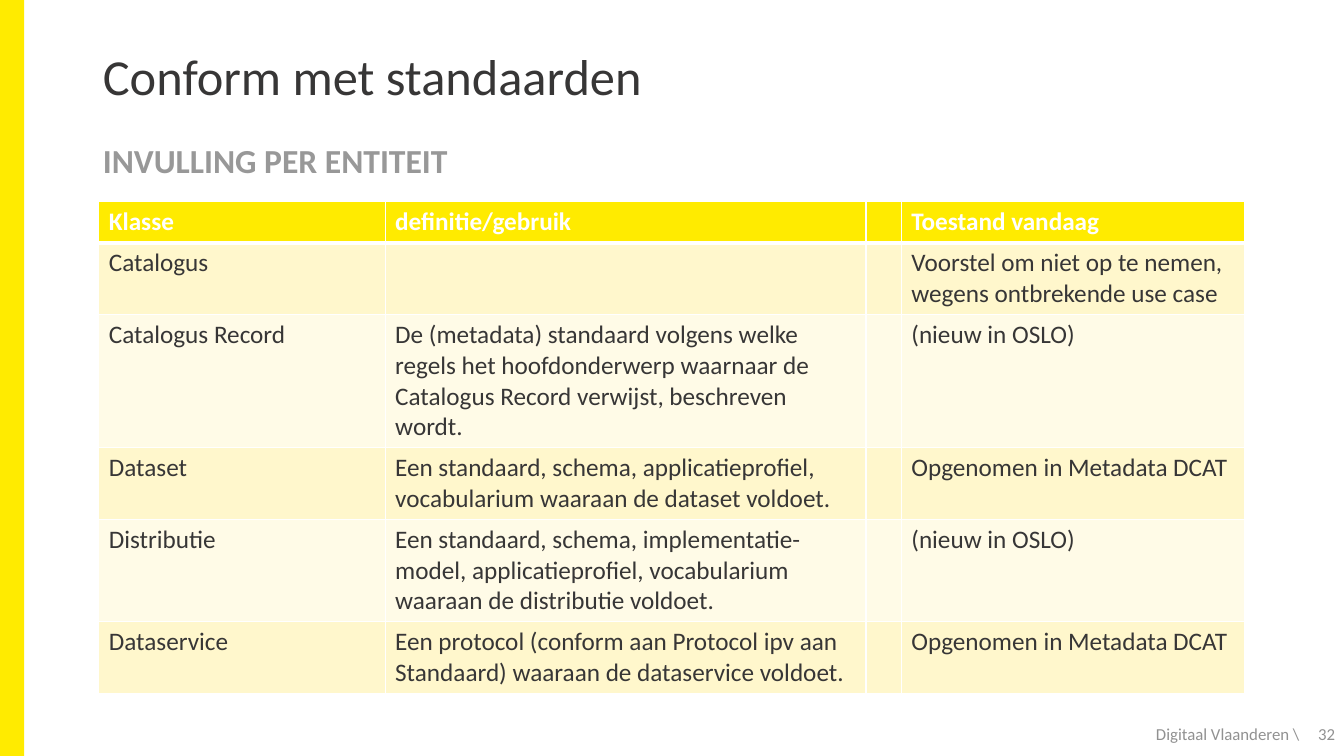
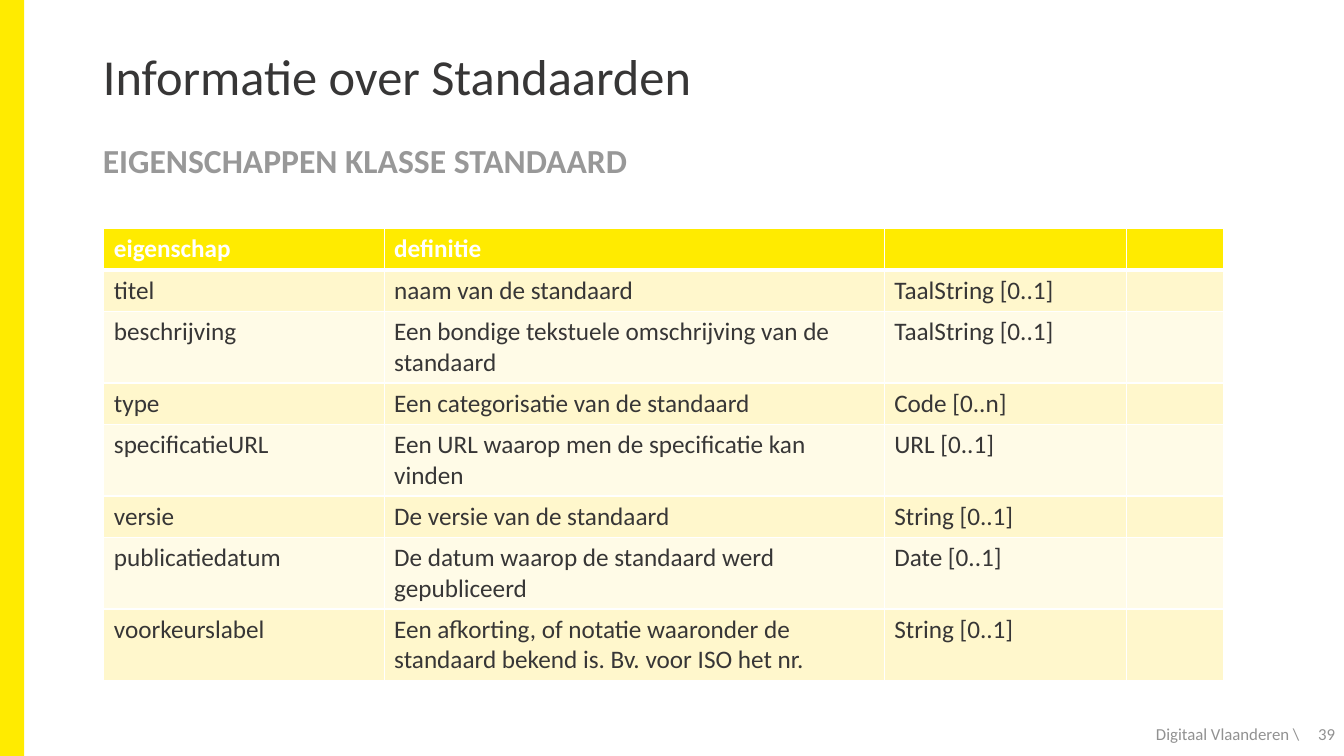
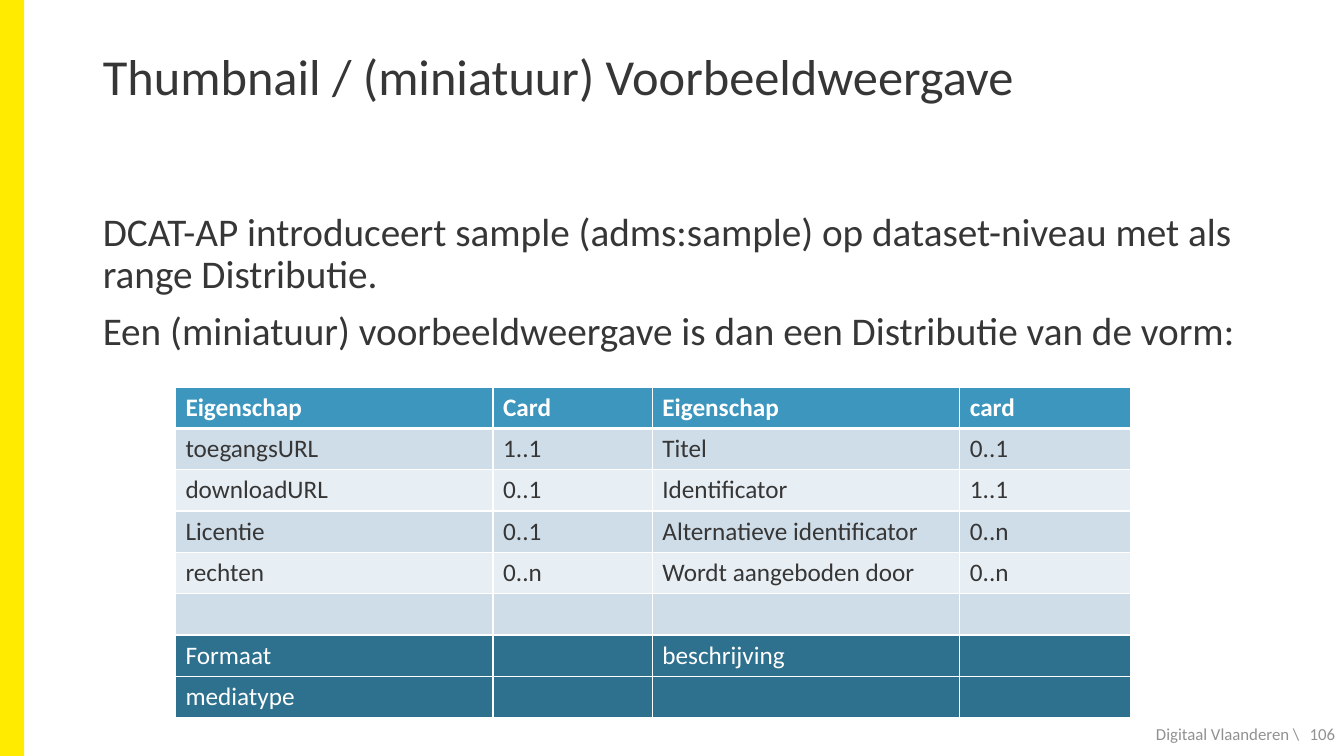
from lxml.etree import SubElement
from pptx import Presentation
from pptx.dml.color import RGBColor
from pptx.enum.shapes import MSO_SHAPE
from pptx.enum.text import MSO_ANCHOR, MSO_AUTO_SIZE, PP_ALIGN
from pptx.oxml.ns import qn
from pptx.util import Inches, Pt

# Colours
WHITE = RGBColor(0xFF, 0xFF, 0xFF)
INK = RGBColor(0x37, 0x36, 0x36)
SUBTITLE_GREY = RGBColor(0x98, 0x98, 0x98)
FOOTER_GREY = RGBColor(0x91, 0x91, 0x91)
YELLOW = RGBColor(0xFF, 0xEB, 0x00)
YELLOW_BANDS = (RGBColor(0xFF, 0xF7, 0xCC), RGBColor(0xFF, 0xFB, 0xE7))
BLUE = RGBColor(0x3C, 0x96, 0xBE)
BLUE_BANDS = (RGBColor(0xCE, 0xDD, 0xE8), RGBColor(0xE8, 0xEF, 0xF4))
DARK_BLUE = RGBColor(0x2D, 0x71, 0x8E)

# Text styles: font attributes, colour and paragraph attributes
TITLE = ({"size": Pt(36)}, INK, {"line_spacing": 0.9, "alignment": PP_ALIGN.LEFT})
SUBTITLE = ({"size": Pt(24), "bold": True}, SUBTITLE_GREY, {"line_spacing": 0.9})
BODY = ({"size": Pt(28)}, INK, {"line_spacing": 0.9})
FOOTER = ({"size": Pt(12)}, FOOTER_GREY, {"alignment": PP_ALIGN.RIGHT})
HEADER_CELL = ({"size": Pt(18), "bold": True}, WHITE, {})
CELL = ({"size": Pt(18), "bold": False}, INK, {})
DARK_CELL = ({"size": Pt(18), "bold": False}, WHITE, {})

ROW_HEIGHT = 0.41

PAGES = [
    {
        "title": "Conform met standaarden",
        "number": "32",
        "body": ["INVULLING PER ENTITEIT"],
        "body_style": SUBTITLE,
        "body_place": (0.92, 1.36, 11.5, 0.51),
        "body_anchor": MSO_ANCHOR.MIDDLE,
        "table_place": (0.98, 2),
        "columns": (2.84, 4.77, 0.35, 3.4),
        "header_fill": YELLOW,
        "bands": YELLOW_BANDS,
        "dark_from": None,
        "rows": [
            ("Klasse", "definitie/gebruik", "", "Toestand vandaag"),
            ("Catalogus", "", "",
             "Voorstel om niet op te nemen, wegens ontbrekende use case"),
            ("Catalogus Record",
             "De (metadata) standaard volgens welke regels het hoofdonderwerp "
             "waarnaar de Catalogus Record verwijst, beschreven wordt.",
             "", "(nieuw in OSLO)"),
            ("Dataset",
             "Een standaard, schema, applicatieprofiel, vocabularium waaraan "
             "de dataset voldoet.",
             "", "Opgenomen in Metadata DCAT"),
            ("Distributie",
             "Een standaard, schema, implementatie-model, applicatieprofiel, "
             "vocabularium waaraan de distributie voldoet.",
             "", "(nieuw in OSLO)"),
            ("Dataservice",
             "Een protocol (conform aan Protocol ipv aan Standaard) waaraan "
             "de dataservice voldoet.",
             "", "Opgenomen in Metadata DCAT"),
        ],
    },
    {
        "title": "Informatie over Standaarden",
        "number": "39",
        "body": ["EIGENSCHAPPEN KLASSE STANDAARD"],
        "body_style": SUBTITLE,
        "body_place": (0.92, 1.36, 11.5, 0.51),
        "body_anchor": MSO_ANCHOR.MIDDLE,
        "table_place": (1.03, 2.27),
        "columns": (2.78, 4.96, 2.4, 0.97),
        "header_fill": YELLOW,
        "bands": YELLOW_BANDS,
        "dark_from": None,
        "rows": [
            ("eigenschap", "definitie", "", ""),
            ("titel", "naam van de standaard", "TaalString [0..1]", ""),
            ("beschrijving", "Een bondige tekstuele omschrijving van de standaard",
             "TaalString [0..1]", ""),
            ("type", "Een categorisatie van de standaard", "Code [0..n]", ""),
            ("specificatieURL", "Een URL waarop men de specificatie kan vinden",
             "URL [0..1]", ""),
            ("versie", "De versie van de standaard", "String [0..1]", ""),
            ("publicatiedatum", "De datum waarop de standaard werd gepubliceerd",
             "Date [0..1]", ""),
            ("voorkeurslabel",
             "Een afkorting, of notatie waaronder de standaard bekend is. "
             "Bv. voor ISO het nr.",
             "String [0..1]", ""),
        ],
    },
    {
        "title": "Thumbnail / (miniatuur) Voorbeeldweergave",
        "number": "106",
        "body": [
            "DCAT-AP introduceert sample (adms:sample) op dataset-niveau met als "
            "range Distributie.",
            "Een (miniatuur) voorbeeldweergave is dan een Distributie van de vorm:",
        ],
        "body_style": BODY,
        "body_place": (0.92, 2.06, 11.5, 4.7),
        "body_anchor": MSO_ANCHOR.TOP,
        "table_place": (1.74, 3.84),
        "columns": (3.15, 1.58, 3.05, 1.69),
        "header_fill": BLUE,
        "bands": BLUE_BANDS,
        "dark_from": 6,
        "rows": [
            ("Eigenschap", "Card", "Eigenschap", "card"),
            ("toegangsURL", "1..1", "Titel", "0..1"),
            ("downloadURL", "0..1", "Identificator", "1..1"),
            ("Licentie", "0..1", "Alternatieve identificator", "0..n"),
            ("rechten", "0..n", "Wordt aangeboden door", "0..n"),
            ("", "", "", ""),
            ("Formaat", "", "beschrijving", ""),
            ("mediatype", "", "", ""),
        ],
    },
]


def write(frame, lines, style):
    """Fill a text frame with one paragraph per line, without bullets."""
    font_format, color, para_format = style
    frame.text = "\n".join(lines)
    for index, para in enumerate(frame.paragraphs):
        properties = para._p.get_or_add_pPr()
        properties.set("marL", "0")
        properties.set("indent", "0")
        SubElement(properties, qn("a:buNone"))
        para.space_before = Pt(10 if index else 0)
        for name, value in para_format.items():
            setattr(para, name, value)
        para.font.name = "Calibri"
        para.font.color.rgb = color
        for name, value in font_format.items():
            setattr(para.font, name, value)


def place_text(box, place, anchor, lines, style):
    """Position a text shape and write its lines."""
    box.left, box.top, box.width, box.height = map(Inches, place)
    frame = box.text_frame
    frame.word_wrap = True
    frame.auto_size = MSO_AUTO_SIZE.NONE
    frame.vertical_anchor = anchor
    write(frame, lines, style)


deck = Presentation()
deck.slide_width, deck.slide_height = Inches(13.33), Inches(7.5)
layout = deck.slide_layouts[1]

for number, content in enumerate(PAGES):
    page = deck.slides.add_slide(layout)

    # Yellow side band, kept in the shared layout
    if number == 0:
        band = page.shapes.add_shape(MSO_SHAPE.RECTANGLE, 0, 0, Inches(0.24), deck.slide_height)
        band.shadow.inherit = False
        band.fill.solid()
        band.fill.fore_color.rgb = YELLOW
        band.line.fill.background()
        layout.shapes._spTree.insert(2, band._element)

    # Title, body and footer
    place_text(page.shapes.title, (0.92, 0.4, 11.5, 0.77), MSO_ANCHOR.MIDDLE,
               [content["title"]], TITLE)
    place_text(page.placeholders[1], content["body_place"], content["body_anchor"],
               content["body"], content["body_style"])
    for text, left, width in (("Digitaal Vlaanderen \\", 10.73, 2.26),
                              (content["number"], 12.42, 0.92)):
        box = page.shapes.add_textbox(0, 0, 0, 0)
        place_text(box, (left, 7.08, width, 0.4), MSO_ANCHOR.MIDDLE, [text], FOOTER)

    # Table
    rows, columns = content["rows"], content["columns"]
    left, top = content["table_place"]
    table = page.shapes.add_table(
        len(rows), len(columns), Inches(left), Inches(top),
        Inches(sum(columns)), Inches(ROW_HEIGHT * len(rows))).table
    for column, width in zip(table.columns, columns):
        column.width = Inches(width)

    for row_index, row in enumerate(rows):
        table.rows[row_index].height = Inches(ROW_HEIGHT)
        if row_index == 0:
            fill, style = content["header_fill"], HEADER_CELL
        elif content["dark_from"] and row_index >= content["dark_from"]:
            fill, style = DARK_BLUE, DARK_CELL
        else:
            fill, style = content["bands"][(row_index - 1) % 2], CELL

        for column_index, text in enumerate(row):
            cell = table.cell(row_index, column_index)
            write(cell.text_frame, [text], style)
            cell.fill.solid()
            cell.fill.fore_color.rgb = fill

            # White borders, thicker under the header row
            properties = cell._tc.get_or_add_tcPr()
            thick_side = {0: "lnB", 1: "lnT"}.get(row_index)
            for position, side in enumerate(("lnL", "lnR", "lnT", "lnB")):
                weight = Pt(3 if side == thick_side else 1)
                border = SubElement(properties, qn(f"a:{side}"), w=str(weight))
                paint = SubElement(border, qn("a:solidFill"))
                SubElement(paint, qn("a:srgbClr"), val=str(WHITE))
                properties.insert(position, border)

deck.save("out.pptx")
